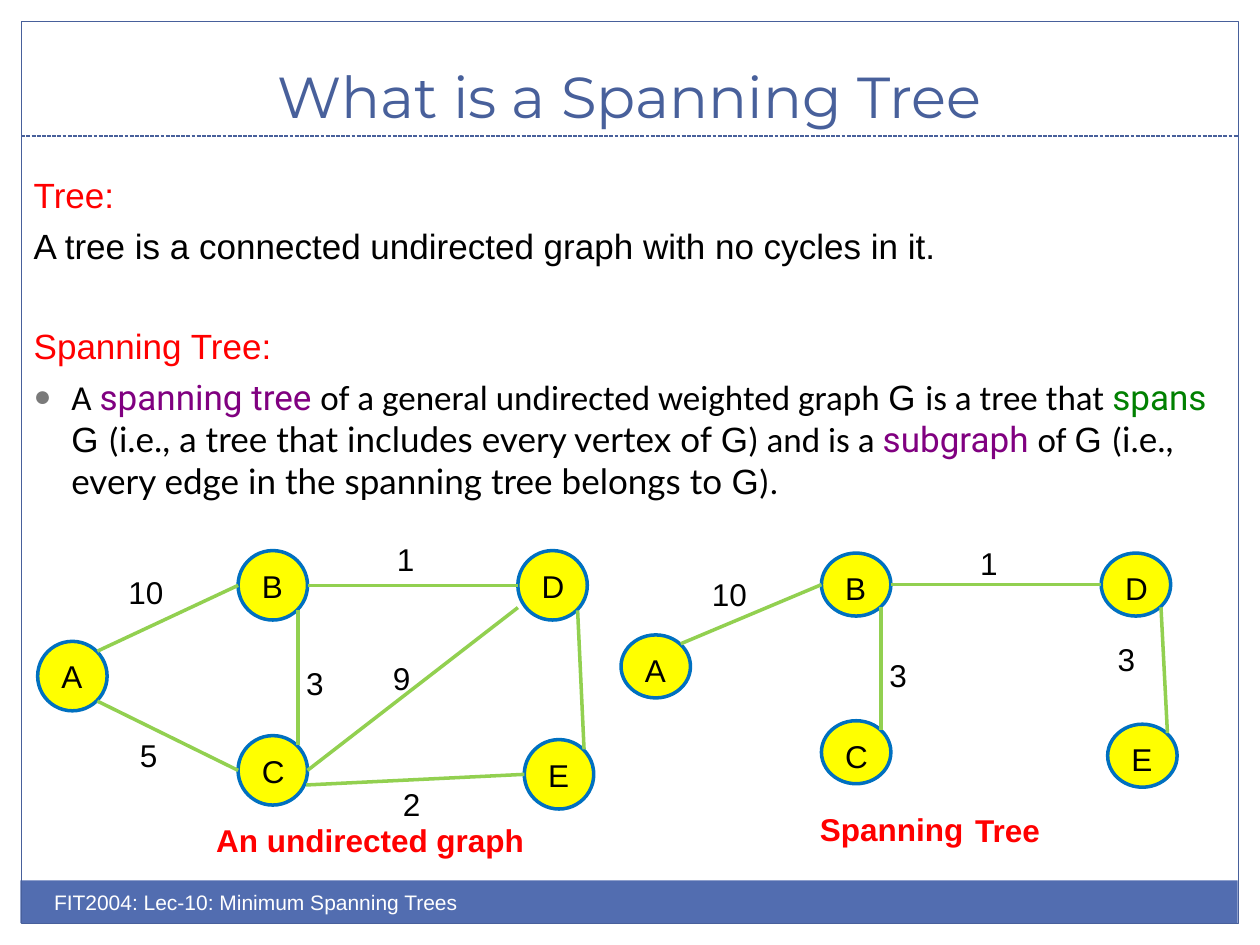
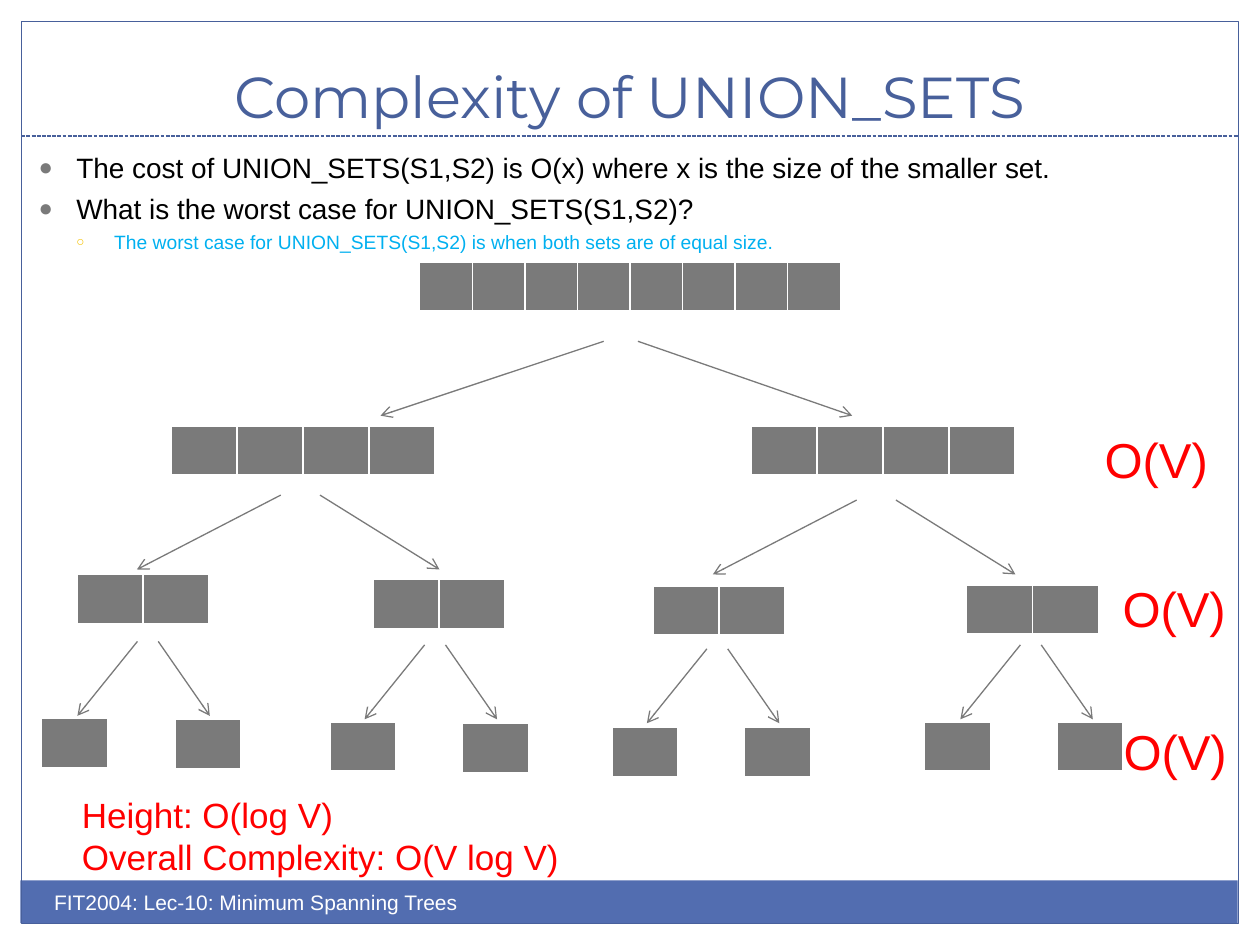
from dataclasses import dataclass

from lxml.etree import SubElement
from pptx import Presentation
from pptx.dml.color import RGBColor
from pptx.enum.dml import MSO_LINE_DASH_STYLE as Dash
from pptx.enum.shapes import MSO_CONNECTOR as Connector, MSO_SHAPE as Preset
from pptx.enum.text import MSO_ANCHOR as Anchor, PP_ALIGN as Align
from pptx.oxml.ns import qn
from pptx.util import Cm, Pt

WHITE, BLACK, RED = "FFFFFF", "000000", "FF0000"
BAND, FRAME, GREY, GOLD = "526DB0", "48609B", "7A7A7A", "F5C201"
YELLOW, RING, EDGE = "FFFF00", "0070C0", "92D050"
PURPLE, GREEN, SKY = "800080", "008000", "00B0F0"
FOOTER = "FIT2004: Lec-10: Minimum Spanning Trees"

NODE_WIDTH = 1.4
LINE_HEIGHT = 1.02
INDENT = 0.76

# Where edges touch a node, as fractions of its width and height
PORTS = {
    "left": (0, 0.5),
    "right": (1, 0.5),
    "upper right": (0.86, 0.14),
    "lower right": (0.86, 0.86),
    "lower left": (0, 0.82),
    "below right": (0.98, 0.71),
}


@dataclass
class Span:
    text: str
    color: str = BLACK
    font: str = "Arial"


@dataclass
class Bullet:
    symbol: str
    color: str
    percent: int
    level: int = 0


@dataclass
class Para:
    spans: list[Span]
    size: float
    before: float = 0
    bullet: Bullet | None = None


@dataclass
class Node:
    name: str
    left: float
    top: float


@dataclass
class Edge:
    start: str
    start_port: str
    end: str
    end_port: str


@dataclass
class Weight:
    text: str
    left: float
    top: float


@dataclass
class Level:
    """One row of equal sets, with the forks that lead down from it."""
    cells: int
    cell_width: float
    places: list[tuple[float, float]]
    forks: list[tuple[float, float]]
    gap: float = 0
    reach_left: float = 0
    reach_right: float = 0


DISC = Bullet("●", GREY, 85)
RING_BULLET = Bullet("○", GOLD, 70, level=1)

GRAPH_NODES = [Node("C", 4.8, 14.83), Node("B", 4.8, 11.1), Node("E", 10.57, 14.91),
               Node("D", 10.44, 11.1), Node("A", 0.76, 12.93)]
GRAPH_EDGES = [
    Edge("A", "upper right", "B", "left"),
    Edge("A", "lower right", "C", "left"),
    Edge("B", "right", "D", "left"),
    Edge("E", "upper right", "D", "lower right"),
    Edge("C", "right", "D", "lower left"),
    Edge("C", "upper right", "B", "lower right"),
    Edge("C", "below right", "E", "left"),
]
GRAPH_WEIGHTS = [Weight("10", 2.34, 11.43), Weight("5", 2.57, 14.71), Weight("3", 5.92, 13.26),
                 Weight("1", 7.75, 10.77), Weight("9", 7.67, 13.16), Weight("2", 7.87, 15.7)]

TREE_NODES = [Node("A", 12.52, 12.8), Node("C", 16.56, 14.53), Node("B", 16.56, 11.15),
              Node("E", 22.33, 14.6), Node("D", 22.2, 11.15)]
TREE_EDGES = [GRAPH_EDGES[index] for index in (0, 2, 5, 3)]
TREE_WEIGHTS = [Weight("10", 14.1, 11.46), Weight("3", 17.68, 13.11),
                Weight("1", 19.51, 10.85), Weight("3", 22.28, 12.78)]

LEVELS = [
    Level(8, 1.06, [(8.46, 5.28)], [(12.17, 6.88)], 0.69, 4.5, 4.32),
    Level(4, 1.33, [(3.45, 8.59), (15.14, 8.59)],
          [(5.66, 9.98), (17.27, 10.08)], 0.79, 2.9, 2.41),
    Level(2, 1.33, [(1.55, 11.58), (7.52, 11.68), (13.16, 11.81), (19.48, 11.79)],
          [(2.77, 12.93), (8.56, 13), (14.25, 13.08), (20.57, 13)], 0.42, 1.21, 1.04),
    Level(1, 1.33, [(0.84, 14.48), (3.53, 14.5), (6.65, 14.55), (9.32, 14.58),
                    (12.34, 14.66), (15.01, 14.66), (18.64, 14.55), (21.31, 14.55)], []),
]


def rgb(code: str) -> RGBColor:
    return RGBColor.from_string(code)


def add_bullet(para, bullet: Bullet) -> None:
    properties = para._p.get_or_add_pPr()
    properties.set("marL", str(Cm(INDENT * (bullet.level + 1))))
    properties.set("indent", str(-Cm(INDENT)))
    color = SubElement(properties, qn("a:buClr"))
    SubElement(color, qn("a:srgbClr"), val=bullet.color)
    SubElement(properties, qn("a:buSzPct"), val=str(bullet.percent * 1000))
    SubElement(properties, qn("a:buFont"), typeface="Arial")
    SubElement(properties, qn("a:buChar"), char=bullet.symbol)


def add_text(shapes, text: str | list[Para], left: float, top: float, width: float,
             height: float = LINE_HEIGHT, size: float = 18, color: str = BLACK,
             font: str = "Arial", bold: bool = False, align=Align.LEFT,
             anchor=Anchor.TOP, wrap: bool = True) -> None:
    """Plain text takes the format given; Para objects carry their own."""
    box = shapes.add_textbox(Cm(left), Cm(top), Cm(width), Cm(height))
    frame = box.text_frame
    frame.word_wrap = wrap
    frame.vertical_anchor = anchor
    if isinstance(text, str):
        text = [Para([Span(line, color, font)], size) for line in text.split("\n")]
    for index, item in enumerate(text):
        para = frame.add_paragraph() if index else frame.paragraphs[0]
        para.alignment = align
        para.space_before = Pt(item.before)
        if item.bullet:
            para.level = item.bullet.level
            add_bullet(para, item.bullet)
        for span in item.spans:
            run = para.add_run()
            run.text = span.text
            run.font.size = Pt(item.size)
            run.font.name = span.font
            run.font.bold = bold
            run.font.color.rgb = rgb(span.color)


def add_outline(shapes, preset, left: float, top: float, width: float, height: float,
                fill: str | None = None, line: str | None = None, weight: float = 0.75) -> None:
    shape = shapes.add_shape(preset, Cm(left), Cm(top), Cm(width), Cm(height))
    shape.shadow.inherit = False
    if fill:
        shape.fill.solid()
        shape.fill.fore_color.rgb = rgb(fill)
    else:
        shape.fill.background()
    if line:
        shape.line.color.rgb = rgb(line)
        shape.line.width = Pt(weight)
    else:
        shape.line.fill.background()


def add_line(shapes, start: tuple[float, float], end: tuple[float, float], color: str,
             weight: float = 0.75, dash=None, arrow: bool = False) -> None:
    line = shapes.add_connector(Connector.STRAIGHT, *map(Cm, start + end))
    line.line.color.rgb = rgb(color)
    line.line.width = Pt(weight)
    if dash:
        line.line.dash_style = dash
    if arrow:
        SubElement(line.get_or_add_ln(), qn("a:tailEnd"), type="arrow")
    SubElement(line._element.spPr, qn("a:effectLst"))


def add_page(deck, title: str):
    page = deck.slides.add_slide(deck.slide_layouts[6])
    add_outline(page.shapes, Preset.RECTANGLE, 0.41, 17.75, 24.54, 0.86, fill=BAND)
    add_outline(page.shapes, Preset.RECTANGLE, 0.43, 0.43, 24.54, 18.19, line=FRAME)
    add_line(page.shapes, (0.43, 2.74), (24.97, 2.74), FRAME, dash=Dash.SQUARE_DOT)
    add_text(page.shapes, title, 0.84, 0.64, 23.7, 2.11, size=33, color=FRAME,
             font="Montserrat", align=Align.CENTER, anchor=Anchor.BOTTOM)
    add_text(page.shapes, FOOTER, 0.84, 17.81, 12.7, size=12, color=WHITE)
    return page


def add_graph(page, nodes: list[Node], edges: list[Edge], weights: list[Weight],
              node_height: float) -> None:
    shapes = page.shapes.add_group_shape().shapes
    by_name = {node.name: node for node in nodes}

    def port(name: str, side: str) -> tuple[float, float]:
        node, (across, down) = by_name[name], PORTS[side]
        return node.left + across * NODE_WIDTH, node.top + down * node_height

    for node in nodes:
        add_outline(shapes, Preset.OVAL, node.left, node.top, NODE_WIDTH, node_height,
                    fill=YELLOW, line=RING, weight=2)
        add_text(shapes, node.name, node.left + 0.23, node.top + 0.2, 0.95, wrap=False)
    for edge in edges:
        add_line(shapes, port(edge.start, edge.start_port), port(edge.end, edge.end_port),
                 EDGE, weight=2)
    for weight in weights:
        add_text(shapes, weight.text, weight.left, weight.top,
                 0.5 + 0.36 * len(weight.text), wrap=False)


def add_set(page, left: float, top: float, cells: int, cell_width: float) -> None:
    """A one-row table of grey cells parted by white borders."""
    table = page.shapes.add_table(1, cells, Cm(left), Cm(top),
                                  Cm(cells * cell_width), Cm(LINE_HEIGHT)).table
    table.first_row = table.horz_banding = False
    for column in table.columns:
        column.width = Cm(cell_width)
    for cell in table.iter_cells():
        properties = cell._tc.get_or_add_tcPr()
        for side, weight in (("L", 1), ("R", 1), ("T", 1), ("B", 3)):
            border = SubElement(properties, qn(f"a:ln{side}"), w=str(Pt(weight)))
            SubElement(SubElement(border, qn("a:solidFill")), qn("a:srgbClr"), val=WHITE)
        cell.fill.solid()
        cell.fill.fore_color.rgb = rgb(GREY)


def add_level(page, level: Level) -> None:
    for left, top in level.places:
        add_set(page, left, top, level.cells, level.cell_width)
    for left, top in level.forks:
        right, bottom = left + level.gap, top + 1.5
        add_line(page.shapes, (left, top), (left - level.reach_left, bottom), GREY, arrow=True)
        add_line(page.shapes, (right, top), (right + level.reach_right, bottom), GREY, arrow=True)


def build_spanning_tree(deck) -> None:
    page = add_page(deck, "What is a Spanning Tree")
    definition = [
        Span("A ", font="Calibri"),
        Span("spanning tree ", PURPLE, "Roboto"),
        Span("of a general undirected weighted graph ", font="Calibri"),
        Span("G "),
        Span("is a tree that ", font="Calibri"),
        Span("spans ", GREEN, "Roboto"),
        Span("G "),
        Span("(", font="Calibri"),
        Span("i.e., a tree that includes every vertex of ", font="Lato"),
        Span("G"),
        Span(") and is a ", font="Calibri"),
        Span("subgraph ", PURPLE, "Roboto"),
        Span("of ", font="Calibri"),
        Span("G "),
        Span("(", font="Calibri"),
        Span("i.e., every edge in the spanning tree belongs to ", font="Lato"),
        Span("G"),
        Span(").", font="Calibri"),
    ]
    add_text(page.shapes, [
        Para([Span("Tree:", RED)], 20, before=2),
        Para([Span("A tree is a connected undirected graph with no cycles in it.")], 20, before=5),
        Para([Span("Spanning Tree:", RED)], 20, before=33),
        Para(definition, 20, before=5, bullet=DISC),
    ], 0.43, 3.38, 24.33, 12.7)
    add_graph(page, GRAPH_NODES, GRAPH_EDGES, GRAPH_WEIGHTS, node_height=1.4)
    add_graph(page, TREE_NODES, TREE_EDGES, TREE_WEIGHTS, node_height=1.27)
    for caption, left, top, width in (("An undirected graph", 4.11, 16.43, 6.96),
                                      ("Spanning", 16.28, 16.2, 3.43),
                                      ("Tree", 19.41, 16.23, 1.83)):
        add_text(page.shapes, caption, left, top, width, color=RED, bold=True, wrap=False)


def build_union_sets(deck) -> None:
    page = add_page(deck, "Complexity of UNION_SETS")
    add_text(page.shapes, [
        Para([Span("The cost of UNION_SETS(S1,S2) is O(x) where x is the size of "
                   "the smaller set.")], 16, before=2, bullet=DISC),
        Para([Span("What is the worst case for UNION_SETS(S1,S2)?")], 16, before=4, bullet=DISC),
        Para([Span("The worst case for UNION_SETS(S1,S2) is when both sets are of equal size.",
                   SKY)], 11, before=3, bullet=RING_BULLET),
    ], 0.53, 2.92, 23.62, 3.81)
    for level in LEVELS:
        add_level(page, level)
    for left, top in ((22.02, 8.53), (22.38, 11.53), (22.4, 14.43)):
        add_text(page.shapes, "O(V)", left, top, 2.84, 1.45, size=28, color=RED)
    add_text(page.shapes, "Height: O(log V)\nOverall Complexity: O(V log V)",
             1.4, 15.88, 13.11, 1.96, size=20, color=RED)


def main() -> None:
    deck = Presentation()
    deck.slide_width, deck.slide_height = Cm(25.4), Cm(19.05)
    build_spanning_tree(deck)
    build_union_sets(deck)
    deck.save("out.pptx")


if __name__ == "__main__":
    main()
